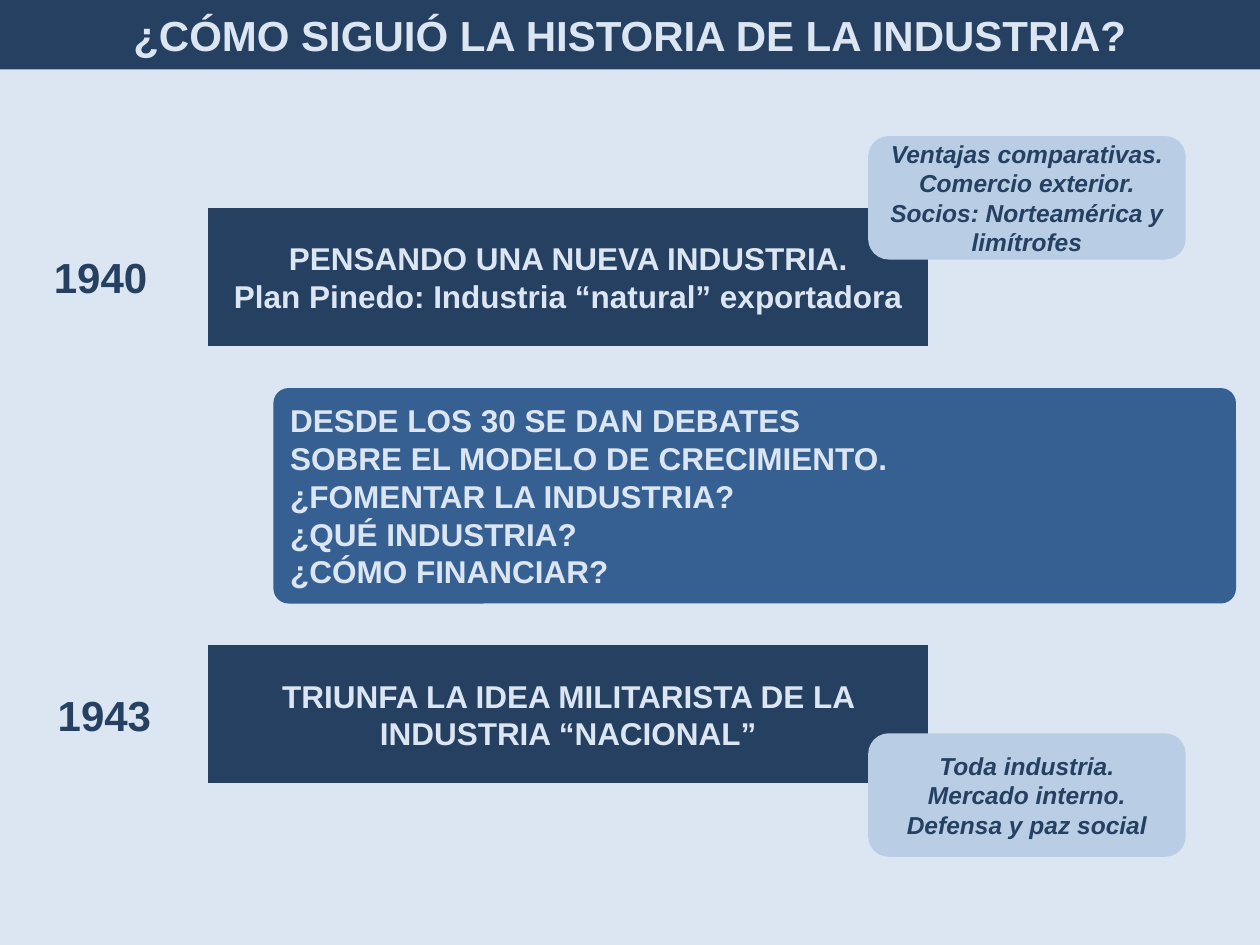
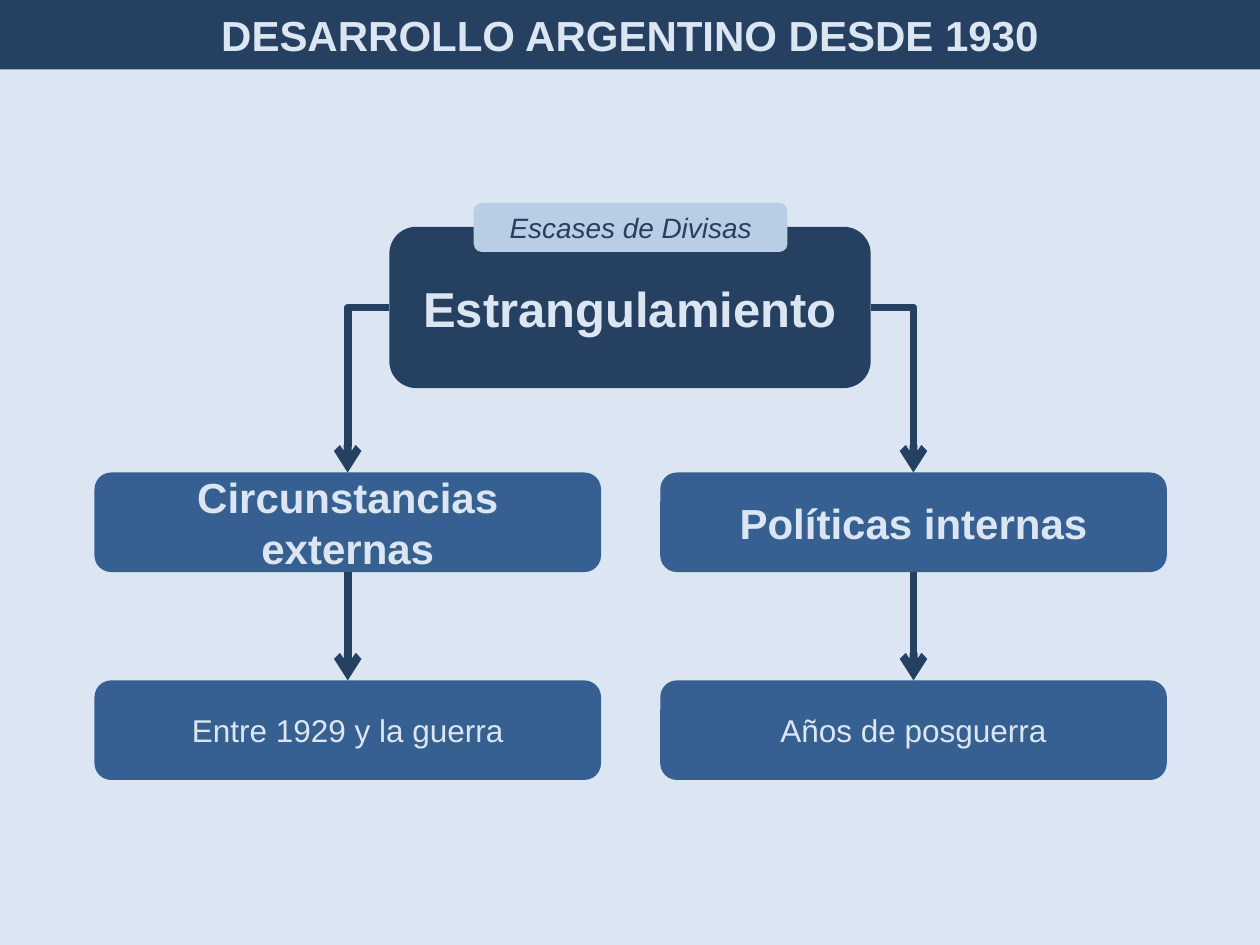
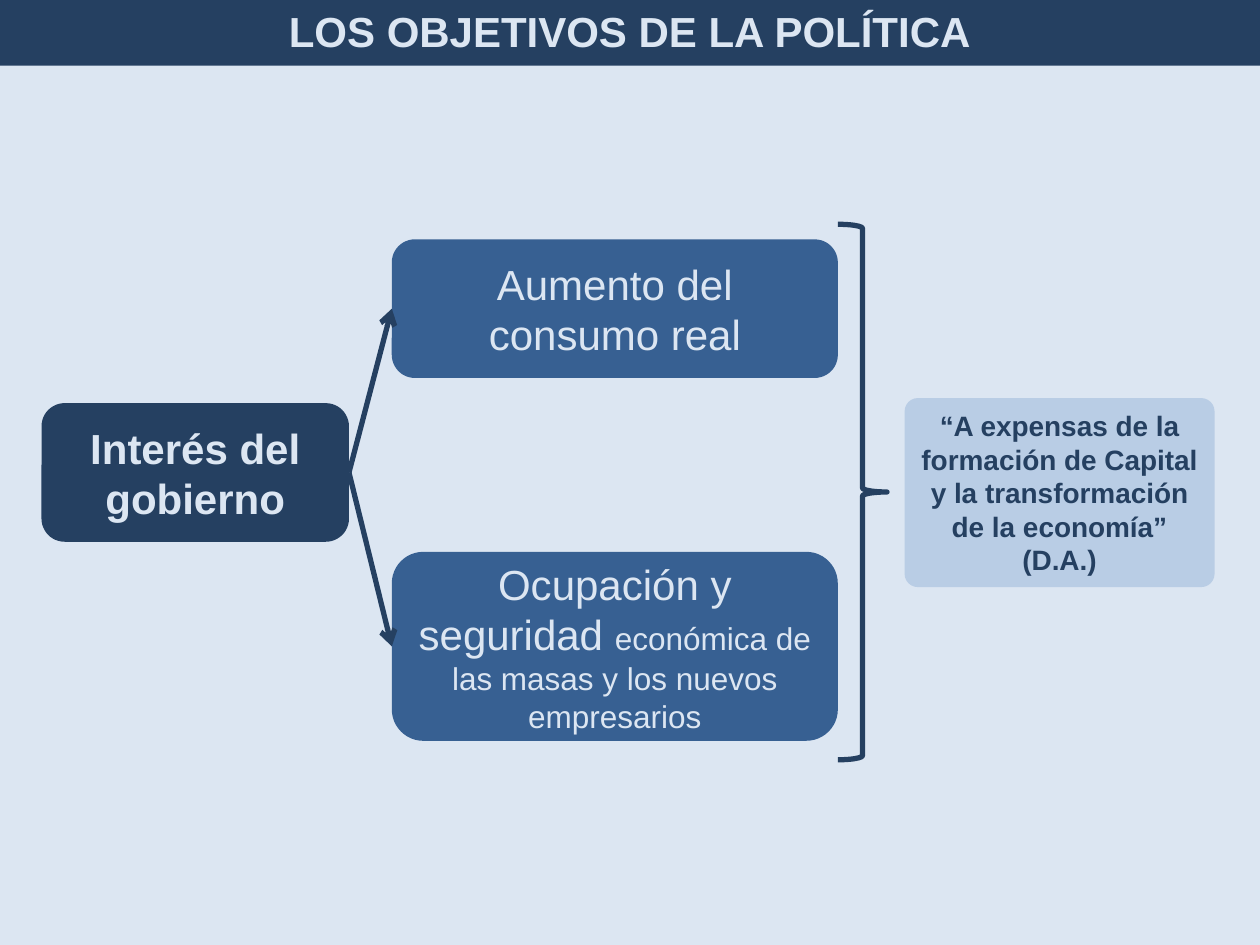
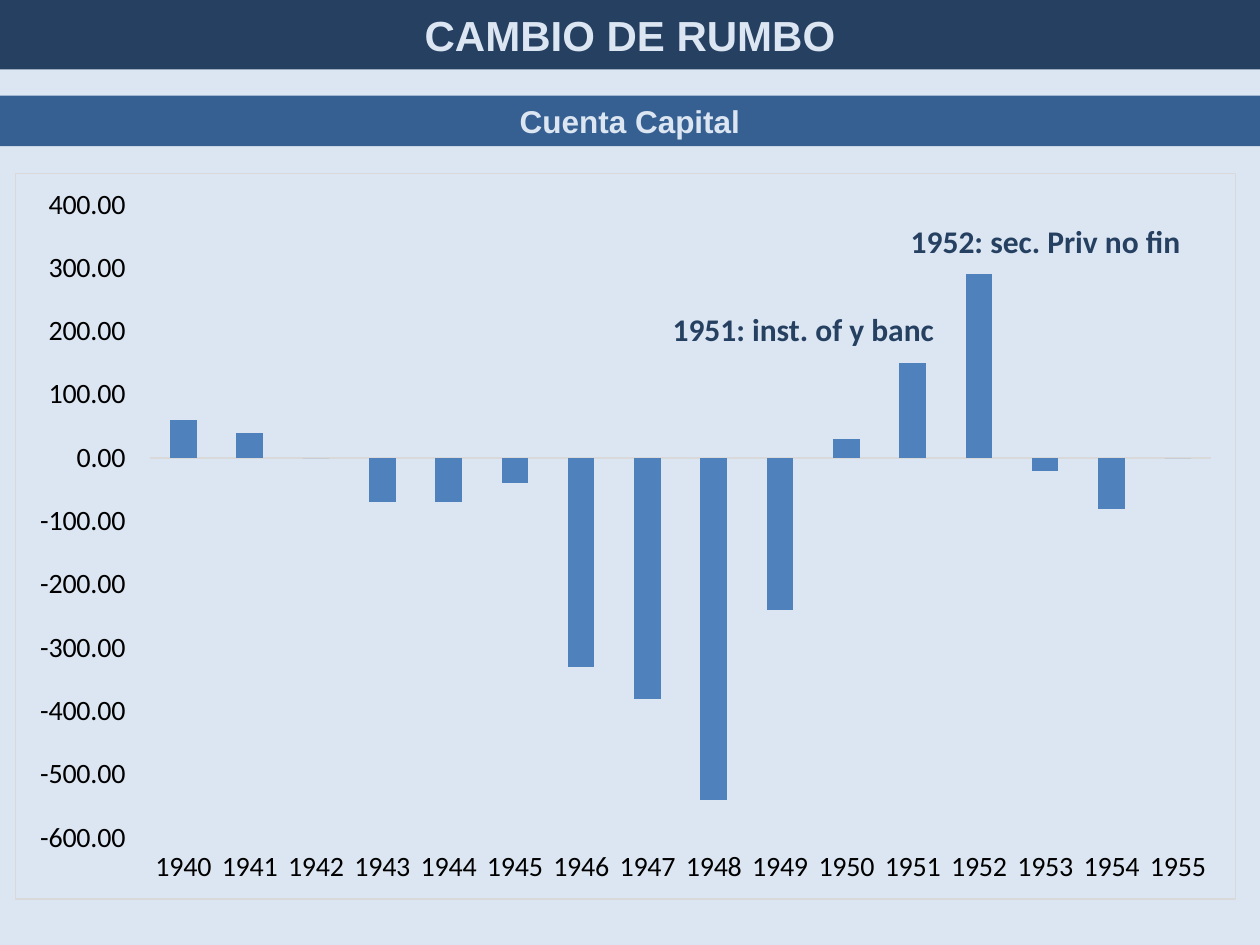
from lxml import etree
from pptx import Presentation
from pptx.chart.data import CategoryChartData
from pptx.dml.color import RGBColor
from pptx.enum.chart import XL_CHART_TYPE, XL_TICK_LABEL_POSITION, XL_TICK_MARK
from pptx.enum.shapes import MSO_CONNECTOR, MSO_SHAPE
from pptx.enum.text import MSO_ANCHOR, PP_ALIGN
from pptx.oxml import parse_xml
from pptx.oxml.ns import nsdecls, qn
from pptx.util import Inches, Pt

ROUNDED = MSO_SHAPE.ROUNDED_RECTANGLE
RECTANGLE = MSO_SHAPE.RECTANGLE
BRACE = MSO_SHAPE.RIGHT_BRACE
STRAIGHT = MSO_CONNECTOR.STRAIGHT
ELBOW = MSO_CONNECTOR.ELBOW
LEFT, CENTER = PP_ALIGN.LEFT, PP_ALIGN.CENTER
MIDDLE = MSO_ANCHOR.MIDDLE
CLUSTERED = XL_CHART_TYPE.COLUMN_CLUSTERED
LOW = XL_TICK_LABEL_POSITION.LOW
NO_TICK = XL_TICK_MARK.NONE

NAVY = RGBColor(0x25, 0x40, 0x61)
BLUE = RGBColor(0x37, 0x60, 0x92)
SOFT = RGBColor(0xB9, 0xCD, 0xE5)
PALE = RGBColor(0xDC, 0xE6, 0xF2)
BAR = RGBColor(0x4F, 0x81, 0xBD)
GREY = RGBColor(0xD9, 0xD9, 0xD9)
BLACK = RGBColor(0, 0, 0)

# Connection sites of a rectangle
TOP_SITE, LEFT_SITE, BOTTOM_SITE, RIGHT_SITE = range(4)

presentation = Presentation()
presentation.slide_width = Inches(10)
presentation.slide_height = Inches(7.5)

# Grid of 100 columns by 75 rows
COLUMN = presentation.slide_width // 100
ROW = presentation.slide_height // 75


def write(shape, text, size, color, bold=True, italic=False, align=CENTER, font="Arial"):
    shape.text_frame.text = text
    for paragraph in shape.text_frame.paragraphs:
        paragraph.alignment = align
        for run in paragraph.runs:
            run.font.name = font
            run.font.size = Pt(size)
            run.font.bold = bold
            run.font.italic = italic
            run.font.color.rgb = color


def add_box(slide, place, text, size, fill, radius=None, kind=ROUNDED, **style):
    left, top, width, height = place
    shape = slide.shapes.add_shape(
        kind, int(left * COLUMN), int(top * ROW), int(width * COLUMN), int(height * ROW))
    shape.shadow.inherit = False
    shape.fill.solid()
    shape.fill.fore_color.rgb = fill
    shape.line.fill.background()
    if radius is not None:
        shape.adjustments[0] = radius
    shape.text_frame.word_wrap = True
    shape.text_frame.vertical_anchor = MIDDLE
    write(shape, text, size, NAVY if fill == SOFT else PALE, **style)
    return shape


# Slides with background and title band
slides = []
for title, top in [
    ("¿CÓMO SIGUIÓ LA HISTORIA DE LA INDUSTRIA?", 0),
    ("DESARROLLO ARGENTINO DESDE 1930", 0),
    ("LOS OBJETIVOS DE LA POLÍTICA", -0.3),
    ("CAMBIO DE RUMBO", 0),
]:
    slide = presentation.slides.add_slide(presentation.slide_layouts[6])
    slide.background.fill.solid()
    slide.background.fill.fore_color.rgb = PALE
    add_box(slide, (0, top, 100, 5.5), title, 24, NAVY, radius=0)
    slides.append(slide)
history, development, goals, turn = slides

# Slide 1: dated milestones
for year, left, top, milestone in [
    ("1940", 3.3, 16.2,
     "PENSANDO UNA NUEVA INDUSTRIA.\nPlan Pinedo: Industria “natural” exportadora"),
    ("1943", 3.6, 50.9, "TRIUNFA LA IDEA MILITARISTA DE LA INDUSTRIA “NACIONAL”"),
]:
    box = add_box(history, (16.2, top, 57.8, 11.6), milestone, 18, NAVY, kind=RECTANGLE)
    box.line.color.rgb = PALE
    box.line.width = Pt(4.5)
    box.text_frame.margin_top = box.text_frame.margin_bottom = Inches(0.02)
    label = history.shapes.add_textbox(
        int(left * COLUMN), int((top + 3.3) * ROW), int(11.6 * COLUMN), 5 * ROW)
    label.text_frame.word_wrap = True
    write(label, year, 24, NAVY, align=LEFT)

# Slide 1: debate and side notes
debate = ("DESDE LOS 30 SE DAN DEBATES\nSOBRE EL MODELO DE CRECIMIENTO.\n"
          "¿FOMENTAR LA INDUSTRIA?\n¿QUÉ INDUSTRIA?\n¿CÓMO FINANCIAR?")
add_box(history, (21.7, 30.8, 76.4, 17.1), debate, 18, BLUE, radius=0.07, align=LEFT)
for top, note in [
    (10.8, "Ventajas comparativas. Comercio exterior. Socios: Norteamérica y limítrofes"),
    (58.2, "Toda industria. Mercado interno. Defensa y paz social"),
]:
    add_box(history, (68.9, top, 25.2, 9.8), note, 14, SOFT, italic=True)

# Slide 2: bottleneck with two branches
links = []
bottleneck = add_box(development, (30.9, 18, 38.2, 12.8), "Estrangulamiento", 28, NAVY)
add_box(development, (37.6, 16.1, 24.9, 3.9), "Escases de Divisas", 16, SOFT,
        bold=False, italic=True)
for left, side, cause, period in [
    (7.5, LEFT_SITE, "Circunstancias externas", "Entre 1929 y la guerra"),
    (52.4, RIGHT_SITE, "Políticas internas", "Años de posguerra"),
]:
    cause_box = add_box(development, (left, 37.5, 40.2, 7.9), cause, 24, BLUE)
    period_box = add_box(development, (left, 54, 40.2, 7.9), period, 18, BLUE, bold=False)
    links.append((development, ELBOW, bottleneck, side, cause_box, TOP_SITE, 4.5))
    links.append((development, STRAIGHT, cause_box, BOTTOM_SITE, period_box, TOP_SITE, 4.5))

# Slide 3: government interest, two goals and their cost
interest = add_box(goals, (3.3, 32, 24.4, 11), "Interés del gobierno", 24, NAVY)
consumption = add_box(goals, (31.1, 19, 35.4, 11), "Aumento del consumo real", 24, BLUE,
                      bold=False)
employment = add_box(goals, (31.1, 43.8, 35.4, 15), "Ocupación y seguridad ", 24, BLUE,
                     bold=False)
detail = employment.text_frame.paragraphs[0].add_run()
detail.text = "económica de las masas y los nuevos empresarios"
detail.font.name = "Arial"
detail.font.size = Pt(18)
detail.font.color.rgb = PALE
for goal in (consumption, employment):
    links.append((goals, STRAIGHT, interest, RIGHT_SITE, goal, LEFT_SITE, 3))

brace = goals.shapes.add_shape(
    BRACE, int(66.5 * COLUMN), int(17.8 * ROW), int(3.9 * COLUMN), int(42.5 * ROW))
brace.shadow.inherit = False
brace.fill.background()
brace.line.color.rgb = NAVY
brace.line.width = Pt(3)
add_box(goals, (71.8, 31.6, 24.6, 15),
        "“A expensas de la formación de Capital y la transformación de la economía” (D.A.)",
        16, SOFT, radius=0.07)

# Arrows of slides 2 and 3
for slide, kind, start, start_site, end, end_site, width in links:
    arrow = slide.shapes.add_connector(kind, 0, 0, 0, 0)
    arrow.begin_connect(start, start_site)
    arrow.end_connect(end, end_site)
    arrow.line.color.rgb = NAVY
    arrow.line.width = Pt(width)
    etree.SubElement(arrow.line._get_or_add_ln(), qn("a:tailEnd"), type="arrow")
    properties = arrow.element.spPr
    etree.SubElement(properties, qn("a:effectLst"))
    if kind == ELBOW:
        properties.find(qn("a:prstGeom")).set("prst", "bentConnector2")

# Slide 4: capital account chart
add_box(turn, (0, 7.6, 100, 4), "Cuenta Capital", 18, BLUE, kind=RECTANGLE)
chart_data = CategoryChartData()
chart_data.categories = [str(year) for year in range(1940, 1956)]
chart_data.add_series("Cuenta Capital", [
    60, 40, 0, -70, -70, -40, -330, -380, -540, -240, 30, 150, 290, -20, -80, 0])
chart = turn.shapes.add_chart(
    CLUSTERED, int(1.2 * COLUMN), int(13.7 * ROW), int(96.9 * COLUMN), int(57.7 * ROW),
    chart_data).chart
chart.has_title = False
chart.has_legend = False
chart.font.name = "Calibri"
chart.font.size = Pt(16)
chart.font.color.rgb = BLACK

plot = chart.plots[0]
plot.gap_width = 150
plot.vary_by_categories = False
bars = plot.series[0]
bars.invert_if_negative = False
bars.format.fill.solid()
bars.format.fill.fore_color.rgb = BAR

for axis in (chart.category_axis, chart.value_axis):
    axis.has_major_gridlines = False
    axis.major_tick_mark = axis.minor_tick_mark = NO_TICK
    axis.tick_label_position = LOW
chart.category_axis.format.line.color.rgb = GREY
chart.category_axis.format.line.width = Pt(0.75)
values = chart.value_axis
values.format.line.fill.background()
values.minimum_scale, values.maximum_scale, values.major_unit = -600, 400, 100
values.tick_labels.number_format = r"#,##0.00\ \ "
values.tick_labels.number_format_is_linked = False

# Chart border, placed before the chart's text properties
chart_space = chart.element
chart_space.find(qn("c:txPr")).addprevious(parse_xml(
    f'<c:spPr {nsdecls("c", "a")}><a:noFill/><a:ln w="{Pt(0.75)}">'
    f'<a:solidFill><a:srgbClr val="{GREY}"/></a:solidFill></a:ln></c:spPr>'))

# Chart remarks
for left, top, width, remark in [
    (52.4, 24.1, 23, "1951: inst. of y banc"),
    (71.3, 17.1, 23.7, "1952: sec. Priv no fin"),
]:
    label = turn.shapes.add_textbox(
        int(left * COLUMN), int(top * ROW), int(width * COLUMN), 4 * ROW)
    label.text_frame.word_wrap = False
    write(label, remark, 18, NAVY, align=LEFT, font="Calibri")

presentation.save("out.pptx")
